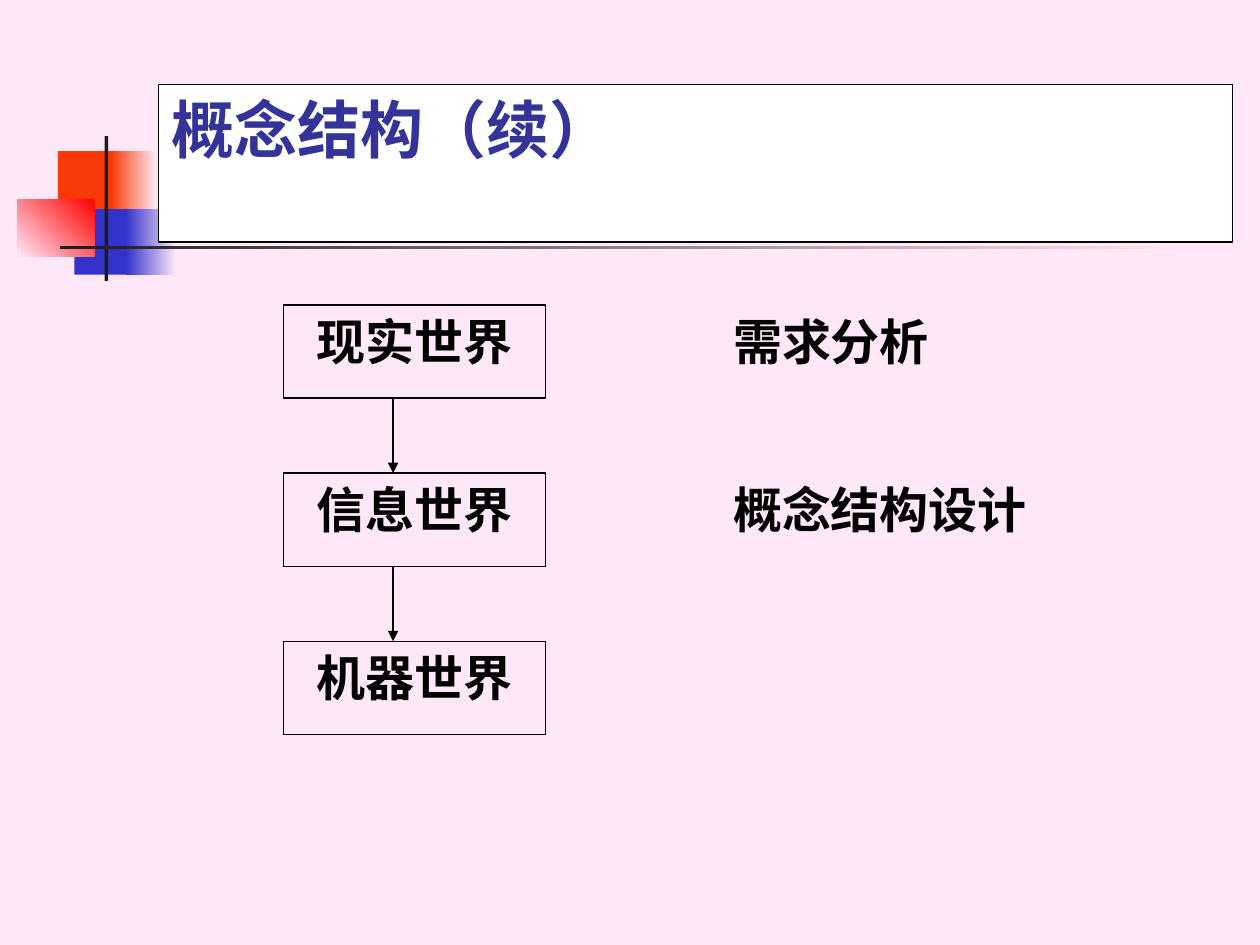
from lxml import etree
from pptx import Presentation
from pptx.dml.color import RGBColor
from pptx.enum import shapes, text
from pptx.oxml.ns import qn
from pptx.util import Inches, Pt

COLORS = {"pink": "FEE8F7", "orange": "FA3A06", "blue": "3333CC", "red": "FF0000",
          "dark": "1C1C1C", "white": "FFFFFF", "black": "000000", "title": "333399"}

TITLE = "概念结构（续）"
WORLDS = ["现实世界", "信息世界", "机器世界"]
STAGES = [("需求分析", 1.91), ("概念结构设计", 2.95)]  # text, width

# Left, top, width, height, colours (two make a gradient), gradient angle
ORNAMENTS = [
    (0.46, 1.2, 0.48, 0.52, ["orange"], None),
    (0.88, 1.2, 0.36, 0.52, ["pink", "orange"], 180),
    (0.59, 1.66, 0.46, 0.52, ["blue"], None),
    (1, 1.66, 0.4, 0.52, ["pink", "blue"], 180),
    (0.14, 1.58, 0.61, 0.46, ["red", "pink"], 225),
    (0.83, 1.08, 0.03, 1.15, ["dark"], None),
    (0.48, 1.95, 9, 0.03, ["pink", "dark"], 180),
]

BOX_LEFT, BOX_WIDTH, BOX_HEIGHT = 2.25, 2.08, 0.74
FIRST_TOP, ROW_STEP = 2.42, 1.335
ARROW_X, STAGE_LEFT, STAGE_HEIGHT = 3.12, 5.72, 0.59


def color(name):
    return RGBColor.from_string(COLORS[name])


def outline(line):
    line.color.rgb = color("black")
    line.width = Pt(0.75)


def write(shape, words, align, size=28, font="Times New Roman", ink="black"):
    frame = shape.text_frame
    frame.text = words
    settings = {"word_wrap": True, "auto_size": text.MSO_AUTO_SIZE.NONE,
                "vertical_anchor": text.MSO_ANCHOR.TOP}
    for key, value in settings.items():
        setattr(frame, key, value)
    para = frame.paragraphs[0]
    para.alignment = align
    span = para.runs[0]
    for key, value in {"size": Pt(size), "name": font, "bold": True}.items():
        setattr(span.font, key, value)
    span.font.color.rgb = color(ink)


def add_rectangle(page, *bounds):
    box = page.shapes.add_shape(shapes.MSO_SHAPE.RECTANGLE, *map(Inches, bounds))
    box.shadow.inherit = False
    return box


def add_ornament(page, left, top, width, height, names, angle):
    box = add_rectangle(page, left, top, width, height)
    box.line.fill.background()
    if angle is None:
        box.fill.solid()
        box.fill.fore_color.rgb = color(names[0])
        return
    box.fill.gradient()
    box.fill.gradient_angle = angle
    for stop, name, position in zip(box.fill.gradient_stops, names, (0, 1)):
        stop.color.rgb = color(name)
        stop.position = position


def add_arrow(page, top, bottom):
    arrow = page.shapes.add_connector(
        shapes.MSO_CONNECTOR.STRAIGHT,
        *map(Inches, (ARROW_X, top, ARROW_X, bottom)))
    outline(arrow.line)
    etree.SubElement(arrow.line._get_or_add_ln(), qn("a:tailEnd"), type="triangle")
    etree.SubElement(arrow._element.spPr, qn("a:effectLst"))


def main():
    deck = Presentation()
    deck.slide_width, deck.slide_height = Inches(10), Inches(7.5)
    page = deck.slides.add_slide(deck.slide_layouts[5])
    page.background.fill.solid()
    page.background.fill.fore_color.rgb = color("pink")

    # Corner ornament and rule
    for ornament in ORNAMENTS:
        add_ornament(page, *ornament)

    # Title, raised above the ornament
    title = page.shapes.title
    title.left, title.top, title.width, title.height = map(Inches, (1.26, 0.67, 8.52, 1.25))
    title.fill.solid()
    title.fill.fore_color.rgb = color("white")
    outline(title.line)
    write(title, TITLE, text.PP_ALIGN.LEFT, 36, "Roboto", "title")
    page.shapes._spTree.append(title._element)

    # Chain of worlds
    tops = [FIRST_TOP + row * ROW_STEP for row in range(len(WORLDS))]
    for world, top in zip(WORLDS, tops):
        box = add_rectangle(page, BOX_LEFT, top, BOX_WIDTH, BOX_HEIGHT)
        box.fill.background()
        outline(box.line)
        write(box, world, text.PP_ALIGN.CENTER)
    for top, next_top in zip(tops, tops[1:]):
        add_arrow(page, top + BOX_HEIGHT, next_top)

    # Design stage beside each world
    for (stage, width), top in zip(STAGES, tops):
        label = page.shapes.add_textbox(
            *map(Inches, (STAGE_LEFT, top, width, STAGE_HEIGHT)))
        write(label, stage, text.PP_ALIGN.JUSTIFY)

    deck.save("out.pptx")


if __name__ == "__main__":
    main()
